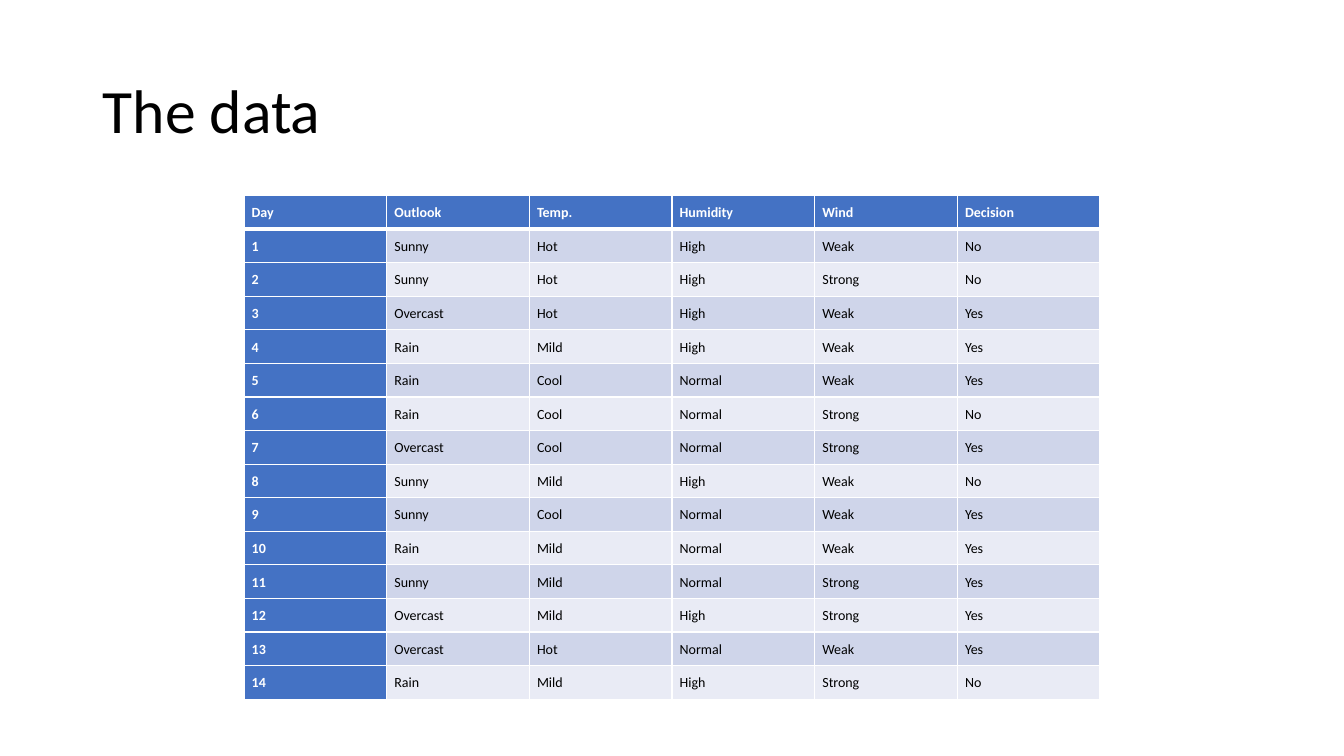
from lxml.etree import SubElement
from pptx import Presentation
from pptx.dml.color import RGBColor
from pptx.enum.text import MSO_ANCHOR, MSO_AUTO_SIZE, PP_ALIGN
from pptx.oxml.ns import qn
from pptx.util import Inches, Pt

FONT = "Calibri"
WHITE, BLACK, BLUE = "FFFFFF", "000000", "4472C4"
BANDS = ["CFD5EA", "E9EBF5"]
CELL_INSET = Inches(5.5 / 72)

HEADINGS = ["Day", "Outlook", "Temp.", "Humidity", "Wind", "Decision"]
OBSERVATIONS = [
    ["Sunny", "Hot", "High", "Weak", "No"],
    ["Sunny", "Hot", "High", "Strong", "No"],
    ["Overcast", "Hot", "High", "Weak", "Yes"],
    ["Rain", "Mild", "High", "Weak", "Yes"],
    ["Rain", "Cool", "Normal", "Weak", "Yes"],
    ["Rain", "Cool", "Normal", "Strong", "No"],
    ["Overcast", "Cool", "Normal", "Strong", "Yes"],
    ["Sunny", "Mild", "High", "Weak", "No"],
    ["Sunny", "Cool", "Normal", "Weak", "Yes"],
    ["Rain", "Mild", "Normal", "Weak", "Yes"],
    ["Sunny", "Mild", "Normal", "Strong", "Yes"],
    ["Overcast", "Mild", "High", "Strong", "Yes"],
    ["Overcast", "Hot", "Normal", "Weak", "Yes"],
    ["Rain", "Mild", "High", "Strong", "No"],
]


def color(value):
    return RGBColor.from_string(value)


def format_paragraph(para, size, font_color, bold, line_spacing):
    para.alignment = PP_ALIGN.LEFT
    para.line_spacing = line_spacing
    para.font.name = FONT
    para.font.size = Pt(size)
    para.font.bold = bold
    para.font.color.rgb = color(font_color)


def add_title(page, text, left, top, width, height):
    title = page.shapes.title
    title.left, title.top, title.width, title.height = left, top, width, height
    frame = title.text_frame
    frame.text = text
    frame.auto_size = MSO_AUTO_SIZE.NONE
    frame.vertical_anchor = MSO_ANCHOR.MIDDLE
    format_paragraph(frame.paragraphs[0], 44, BLACK, False, 0.9)


def add_border(cell, side, points):
    properties = cell._tc.get_or_add_tcPr()
    line = SubElement(properties, qn(f"a:ln{side}"), w=str(Pt(points)))
    fill = SubElement(line, qn("a:solidFill"))
    SubElement(fill, qn("a:srgbClr"), val=WHITE)


def format_cell(cell, text, row, column):
    is_heading = row == 0 or column == 0
    thick_side = {0: "B", 1: "T"}.get(row)
    for side in "LRTB":
        add_border(cell, side, 3 if side == thick_side else 1)
    cell.fill.solid()
    cell.fill.fore_color.rgb = color(BLUE if is_heading else BANDS[(row - 1) % 2])
    cell.margin_left = cell.margin_right = CELL_INSET
    cell.margin_top = cell.margin_bottom = CELL_INSET
    cell.vertical_anchor = MSO_ANCHOR.MIDDLE
    cell.text = text
    para = cell.text_frame.paragraphs[0]
    format_paragraph(para, 10, WHITE if is_heading else BLACK, is_heading, 1.07)
    para.space_after = Pt(18)


def add_data_table(page, left, top, width, height):
    days = [[str(day), *values] for day, values in enumerate(OBSERVATIONS, 1)]
    rows = [HEADINGS, *days]
    table = page.shapes.add_table(
        len(rows), len(HEADINGS), left, top, width, height
    ).table
    table.first_col = True
    for row, values in enumerate(rows):
        for column, text in enumerate(values):
            format_cell(table.cell(row, column), text, row, column)


def main():
    deck = Presentation()
    deck.slide_width, deck.slide_height = Inches(13.33), Inches(7.5)
    page = deck.slides.add_slide(deck.slide_layouts[5])
    add_title(page, "The data", Inches(0.92), Inches(0.4), Inches(11.5), Inches(1.45))
    add_data_table(page, Inches(2.42), Inches(1.94), Inches(8.49), Inches(4.86))
    deck.save("out.pptx")


if __name__ == "__main__":
    main()
